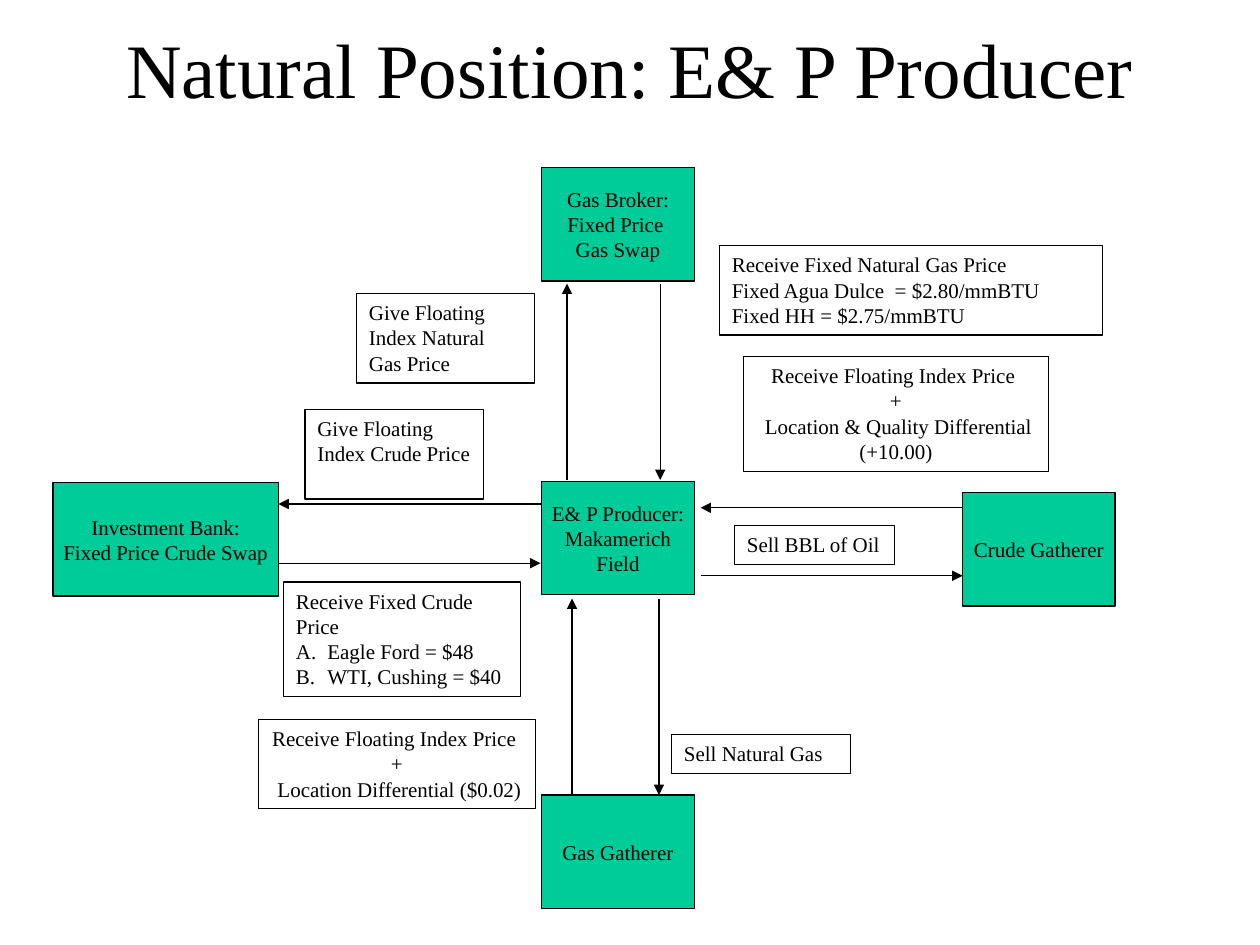
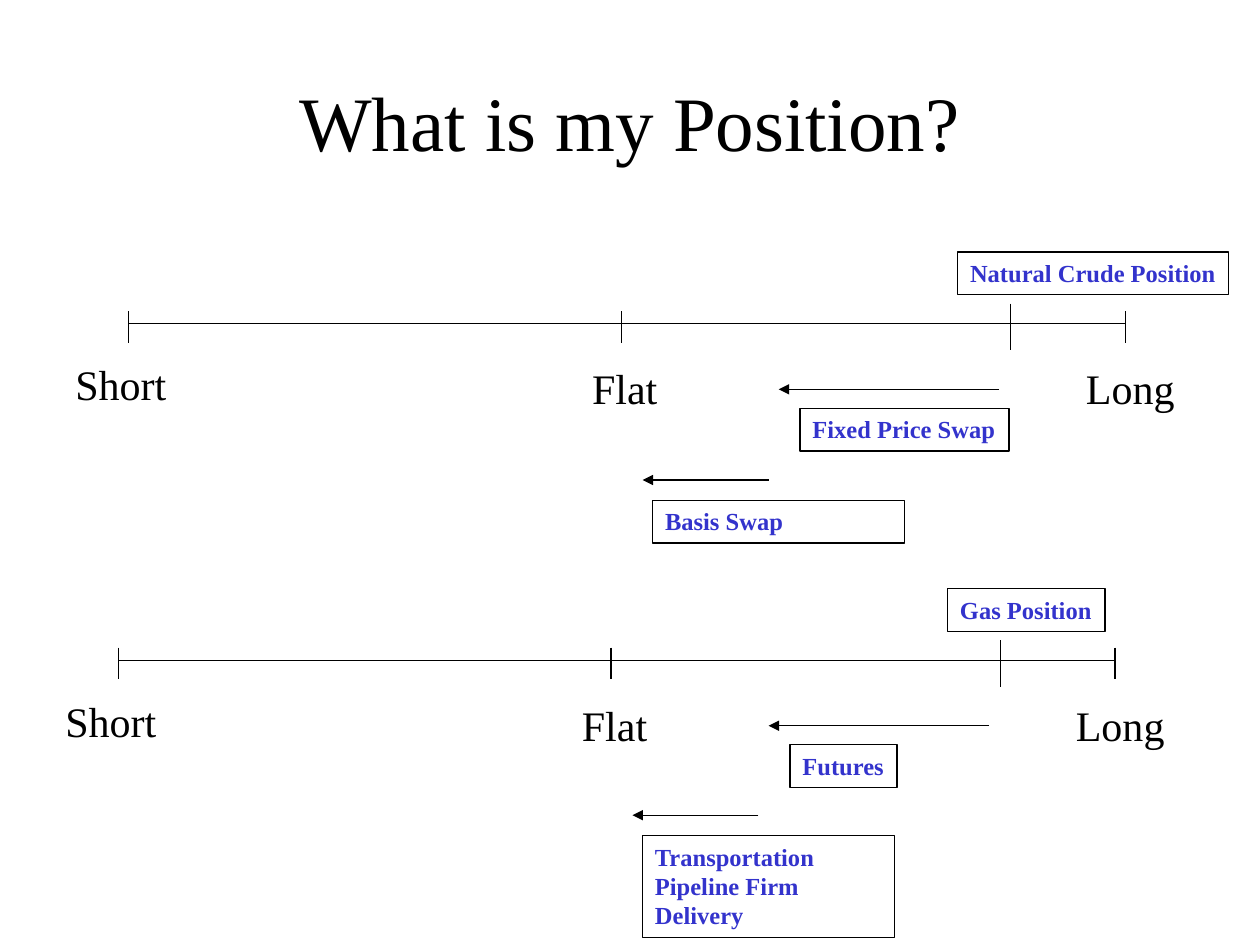
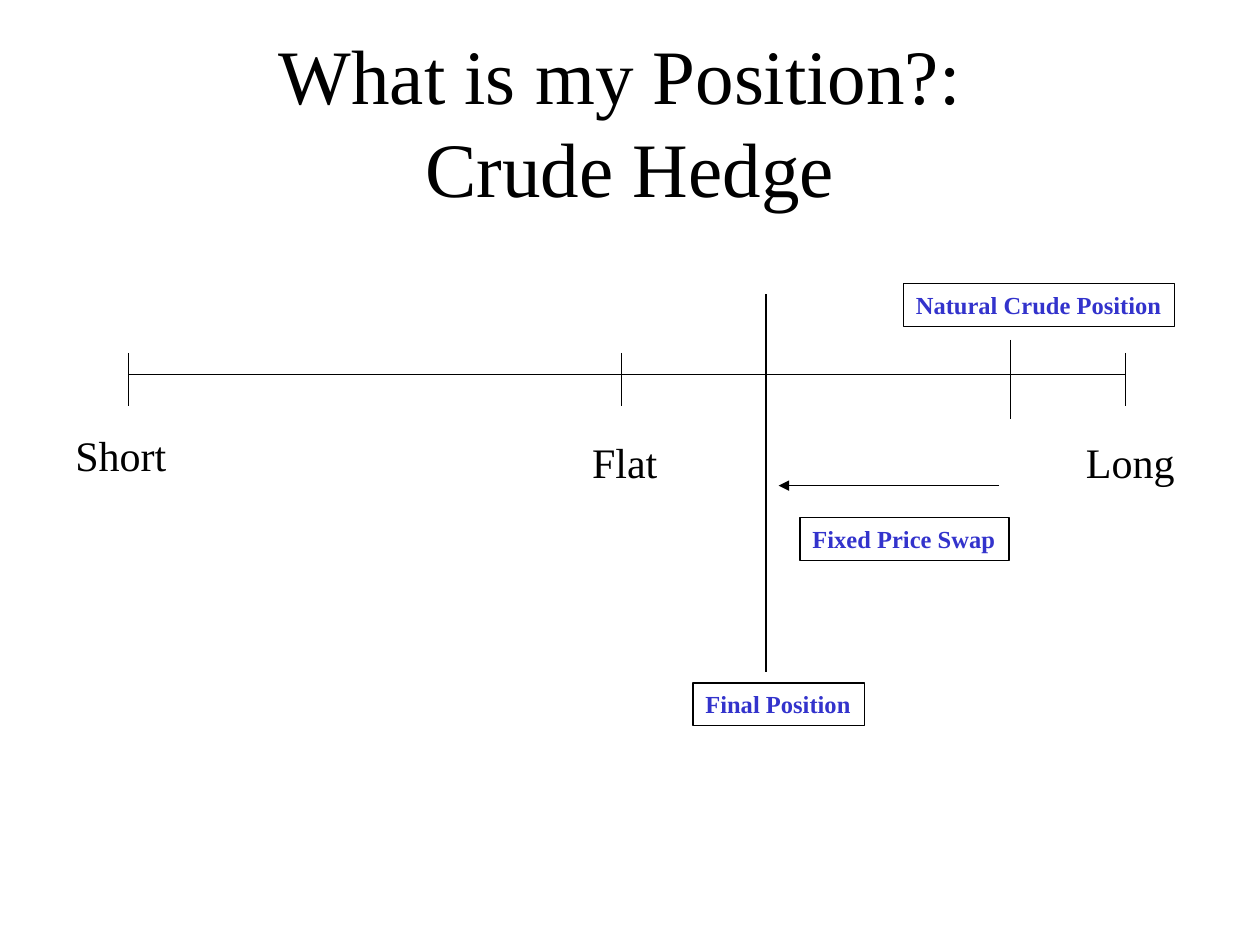
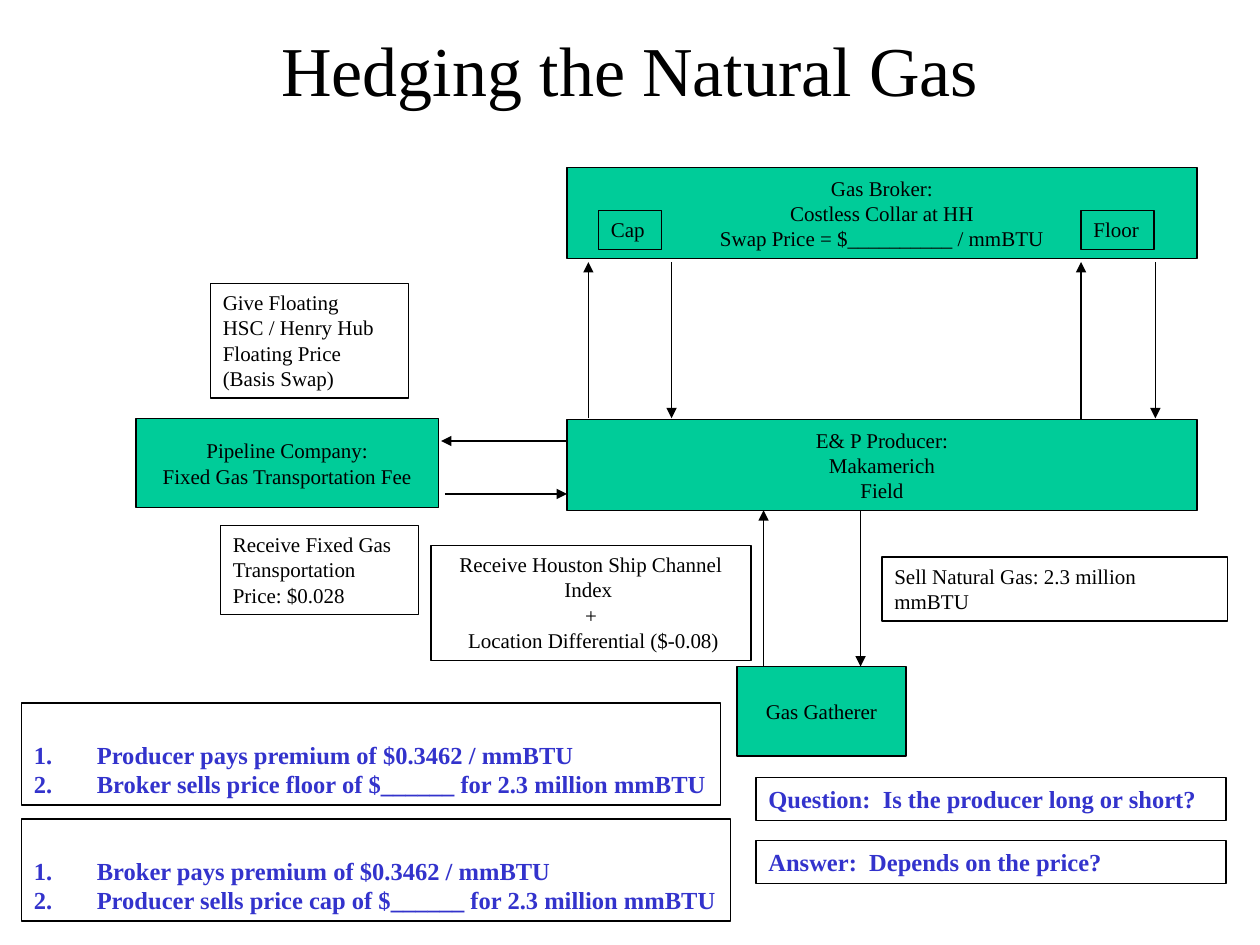
from lxml import etree
from pptx import Presentation
from pptx import util as u
from pptx.dml.color import RGBColor
from pptx.enum import shapes, text
from pptx.oxml import ns

COLORS = {"ink": "000000", "party": "00CC99", "hedge": "3333CC"}
FONT = "Times New Roman"
LEFT, CENTER = text.PP_ALIGN.LEFT, text.PP_ALIGN.CENTER
TOP, MIDDLE, BOTTOM = (text.MSO_ANCHOR.TOP, text.MSO_ANCHOR.MIDDLE,
                       text.MSO_ANCHOR.BOTTOM)

PARTY = dict(fill="party", border=True, align=CENTER, anchor=MIDDLE, wrap=False)
NOTE = dict(border=True)
TERMS = dict(border=True, align=CENTER)
HEDGE = dict(border=True, size=14, color="hedge", bold=True)
TITLE = dict(size=44, align=CENTER, anchor=MIDDLE)


def write(slide, words, box, size=12, color="ink", bold=False, align=LEFT,
          anchor=TOP, wrap=True, fill=None, border=False,
          numbering=None, numbered_from=0, indent=0):
    place = [u.Inches(length) for length in box]
    if border:
        holder = slide.shapes.add_shape(shapes.MSO_SHAPE.RECTANGLE, *place)
        holder.shadow.inherit = False
        holder.line.color.rgb = RGBColor.from_string(COLORS["ink"])
        holder.line.width = u.Pt(0.75)
        if fill:
            holder.fill.solid()
            holder.fill.fore_color.rgb = RGBColor.from_string(COLORS[fill])
        else:
            holder.fill.background()
    else:
        holder = slide.shapes.add_textbox(*place)
    frame = holder.text_frame
    frame.word_wrap = wrap
    frame.vertical_anchor = anchor
    for index, line in enumerate(words.split("\n")):
        paragraph = frame.add_paragraph() if index else frame.paragraphs[0]
        paragraph.text = line
        paragraph.alignment = align
        for run in paragraph.runs:
            run.font.name = FONT
            run.font.size = u.Pt(size)
            run.font.bold = bold
            run.font.color.rgb = RGBColor.from_string(COLORS[color])
        if indent and index >= numbered_from:
            props = paragraph._p.get_or_add_pPr()
            props.set("marL", str(u.Inches(indent)))
            props.set("indent", str(-u.Inches(indent)))
            if numbering:
                etree.SubElement(props, ns.qn("a:buFont"), typeface="+mj-lt")
                etree.SubElement(props, ns.qn("a:buAutoNum"), type=numbering)


def connect(slide, x1, y1, x2, y2, arrow=True):
    flow = slide.shapes.add_connector(
        shapes.MSO_CONNECTOR.STRAIGHT, *[u.Inches(n) for n in (x1, y1, x2, y2)])
    flow.line.color.rgb = RGBColor.from_string(COLORS["ink"])
    flow.line.width = u.Pt(0.75)
    if arrow:
        etree.SubElement(flow.line._get_or_add_ln(), ns.qn("a:tailEnd"), type="triangle")
    etree.SubElement(flow._element.spPr, ns.qn("a:effectLst"))


deck = Presentation()
deck.slide_width, deck.slide_height = u.Inches(10), u.Inches(7.5)
producer, position, crude, gas = [
    deck.slides.add_slide(deck.slide_layouts[6]) for _ in range(4)]

write(producer, "Natural Position: E& P Producer", (0.75, 0, 8.5, 1.08), **TITLE)
for party, left, top, width in [
    ("Crude Gatherer", 7.64, 3.91, 1.21),
    ("E& P Producer:\nMakamerich\nField", 4.3, 3.82, 1.21),
    ("Gas Gatherer", 4.3, 6.31, 1.21),
    ("Gas Broker:\nFixed Price \nGas Swap", 4.3, 1.33, 1.21),
    ("Investment Bank:\nFixed Price Crude Swap", 0.42, 3.83, 1.79),
]:
    write(producer, party, (left, top, width, 0.9), **PARTY)
for ends in [
    (5.56, 4.57, 7.64, 4.57), (7.64, 4.03, 5.56, 4.03),
    (4.54, 6.31, 4.54, 4.75), (5.23, 4.75, 5.23, 6.31),
    (4.5, 3.81, 4.5, 2.25), (5.24, 2.25, 5.24, 3.81),
    (2.21, 4.47, 4.29, 4.47), (4.3, 4, 2.21, 4),
]:
    connect(producer, *ends)
for note, box in [
    ("Sell Natural Gas", (5.33, 5.83, 1.42, 0.31)),
    ("Receive Fixed Natural Gas Price\nFixed Agua Dulce  = $2.80/mmBTU\n"
     "Fixed HH = $2.75/mmBTU", (5.71, 1.95, 3.04, 0.71)),
    ("Give Floating Index Natural Gas Price", (2.83, 2.33, 1.41, 0.71)),
    ("Give Floating Index Crude Price", (2.42, 3.25, 1.42, 0.71)),
]:
    write(producer, note, box, **NOTE)
write(producer, "Sell BBL of Oil", (5.83, 4.17, 1.27, 0.31), wrap=False, **NOTE)
write(producer, "Receive Floating Index Price \n+\n"
      " Location & Quality Differential (+10.00)", (5.9, 2.83, 2.42, 0.91), **TERMS)
write(producer, "Receive Floating Index Price \n+\n Location Differential ($0.02)",
      (2.05, 5.71, 2.2, 0.71), wrap=False, **TERMS)
write(producer, "Receive Fixed Crude Price\nEagle Ford = $48\nWTI, Cushing = $40",
      (2.25, 4.62, 1.88, 0.91), numbering="alphaUcPeriod", numbered_from=1,
      indent=0.25, **NOTE)

write(position, "What is my Position?", (0.75, 0.33, 8.5, 1.25), **TITLE)
write(crude, "What is my Position?: \vCrude Hedge", (0.75, 0.33, 8.5, 1.25), **TITLE)
for slide, shift, axis, stretch, start, start_box, hedge, hedge_width in [
    (position, 0, 2.57, 1, "Natural Crude Position", (7.6, 2, 2.15, 0.34),
     "Fixed Price Swap", 1.66),
    (position, -0.08, 5.24, 1, "Gas Position", (7.52, 4.67, 1.25, 0.34),
     "Futures", 0.85),
    (crude, 0, 2.97, 1.7, "Natural Crude Position", (7.17, 2.25, 2.15, 0.34),
     "Fixed Price Swap", 1.66),
]:
    connect(slide, 1.02 + shift, axis, 8.93 + shift, axis, arrow=False)
    for tick, above, below in [(1.02, 0.1, 0.15), (4.93, 0.1, 0.15),
                               (8.93, 0.1, 0.15), (8.02, 0.16, 0.21)]:
        connect(slide, tick + shift, axis - above * stretch,
                tick + shift, axis + below * stretch, arrow=False)
    for label, left, drop, width in [("Short", 0.5, 0.23, 0.95),
                                     ("Long", 8.52, 0.26, 0.95),
                                     ("Flat", 4.6, 0.26, 0.75)]:
        write(slide, label, (left + shift, axis + drop * stretch, width, 0.5),
              size=24, wrap=False)
    arrow_y = axis + 0.52 * stretch
    connect(slide, 7.93 + shift, arrow_y, 6.18 + shift, arrow_y)
    write(slide, start, start_box, wrap=False, **HEDGE)
    write(slide, hedge, (6.35 + shift, axis + 0.67 * stretch, hedge_width, 0.34),
          wrap=False, **HEDGE)

for second_hedge, left, top, height in [
    ("Basis Swap", 5.18, 3.97, 0.34),
    ("Transportation Pipeline Firm Delivery", 5.1, 6.63, 0.81),
]:
    connect(position, left + 0.92, top - 0.16, left - 0.08, top - 0.16)
    write(position, second_hedge, (left, top, 2, height), **HEDGE)

connect(crude, 6.08, 5.33, 6.08, 2.33, arrow=False)
write(crude, "Final Position", (5.5, 5.42, 1.36, 0.34), wrap=False, **HEDGE)

write(gas, "Hedging the Natural Gas", (0, 0, 10, 1.08), **{**TITLE, "size": 40})
for party, box in [
    ("E& P Producer:\nMakamerich\nField", (4.5, 3.33, 5, 0.72)),
    ("Gas Gatherer", (5.85, 5.29, 1.34, 0.71)),
    ("Gas Broker:\nCostless Collar at HH\nSwap Price = $__________ / mmBTU",
     (4.5, 1.33, 5, 0.72)),
    ("Pipeline Company:\nFixed Gas Transportation Fee", (1.08, 3.32, 2.4, 0.71)),
]:
    write(gas, party, box, **PARTY)
for ends in [
    (6.06, 5.29, 6.06, 4.05), (6.83, 4.05, 6.83, 5.29),
    (4.67, 3.32, 4.67, 2.08), (5.33, 2.08, 5.33, 3.32),
    (8.58, 3.33, 8.58, 2.08), (9.17, 2.08, 9.17, 3.32),
    (3.53, 3.92, 4.5, 3.92), (4.5, 3.5, 3.5, 3.5),
]:
    connect(gas, *ends)
for note, box in [
    ("Cap", (4.75, 1.67, 0.5, 0.31)),
    ("Floor", (8.58, 1.67, 0.58, 0.31)),
    ("Give Floating HSC / Henry Hub Floating Price (Basis Swap)",
     (1.67, 2.25, 1.57, 0.91)),
    ("Receive Fixed Gas Transportation Price: $0.028", (1.75, 4.17, 1.57, 0.71)),
    ("Sell Natural Gas: 2.3 million mmBTU", (7, 4.42, 2.74, 0.51)),
]:
    write(gas, note, box, **NOTE)
write(gas, "Receive Houston Ship Channel Index \n+\n Location Differential ($-0.08)",
      (3.42, 4.33, 2.54, 0.91), **TERMS)
for steps, top, width in [
    ("Producer pays premium of $0.3462 / mmBTU\n"
     "Broker sells price floor of $______ for 2.3 million mmBTU", 5.58, 5.55),
    ("Broker pays premium of $0.3462 / mmBTU\n"
     "Producer sells price cap of $______ for 2.3 million mmBTU", 6.5, 5.63),
]:
    write(gas, steps, (0.17, top, width, 0.81), anchor=BOTTOM, wrap=False,
          numbering="arabicPeriod", indent=0.5, **HEDGE)
for line, top in [("Question:  Is the producer long or short?", 6.17),
                  ("Answer:  Depends on the price?", 6.67)]:
    write(gas, line, (6, top, 3.73, 0.34), indent=0.5, **HEDGE)

deck.save("out.pptx")
